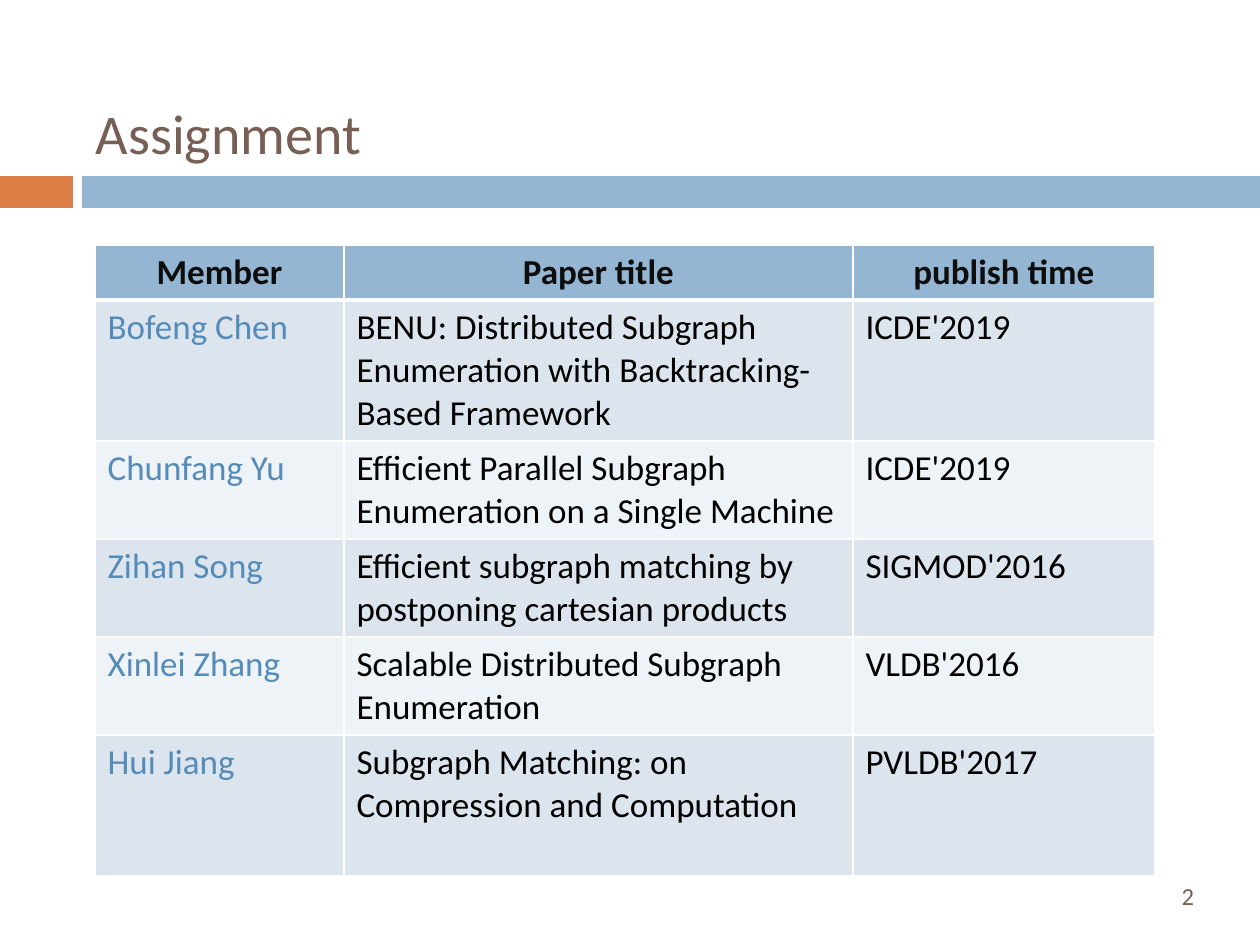
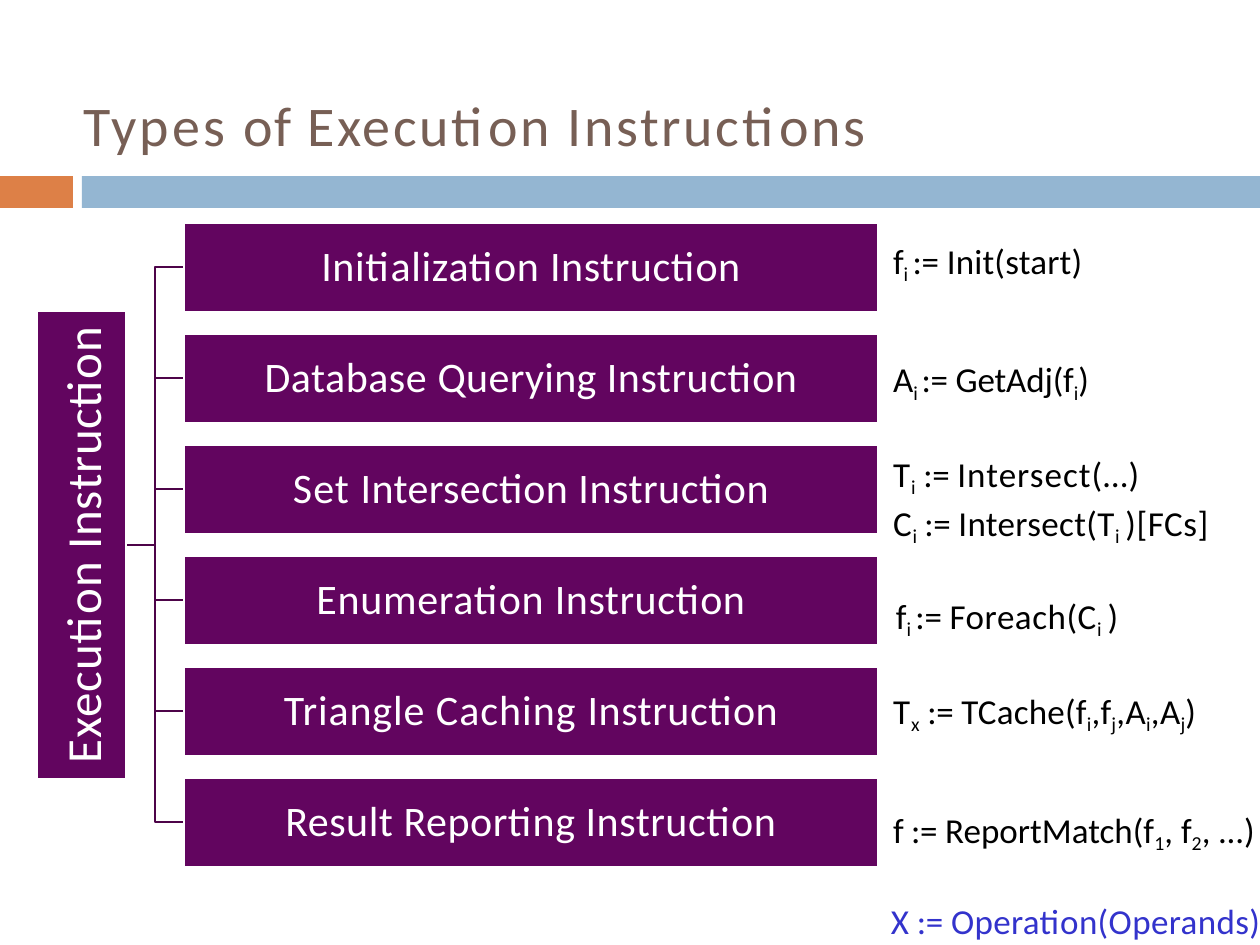
from dataclasses import dataclass

import pptx
import pptx.dml.color
import pptx.enum.shapes
import pptx.enum.text
import pptx.oxml
import pptx.oxml.ns
import pptx.util

# Shared look
PX_PER_INCH = 126
FONT = "Calibri"
ORANGE, BLUE, BROWN = "DD8047", "94B6D2", "775F55"
PURPLE, DARK_PURPLE, OPERATION_BLUE = "62055F", "4D0449", "3333CC"
WHITE, BLACK, HEADER_TEXT, MEMBER_BLUE = "FFFFFF", "000000", "0D0D0D", "558BB8"
ROW_FILLS = ("DCE5EE", "EEF3F7")

ALIGN = pptx.enum.text.PP_ALIGN
ANCHOR = pptx.enum.text.MSO_ANCHOR

# Table content
HEADINGS = ("Member", "Paper title", "publish time")
PAPERS = (
    ("Bofeng Chen", "BENU: Distributed Subgraph Enumeration with Backtracking-Based Framework", "ICDE'2019"),
    ("Chunfang Yu", "Efﬁcient Parallel Subgraph Enumeration on a Single Machine", "ICDE'2019"),
    ("Zihan Song", "Efficient subgraph matching by postponing cartesian products", "SIGMOD'2016"),
    ("Xinlei Zhang", "Scalable Distributed Subgraph Enumeration", "VLDB'2016"),
    ("Hui Jiang", "Subgraph Matching: on Compression and Computation", "PVLDB'2017"),
)
COLUMN_WIDTHS = (249, 509, 302)
ROW_HEIGHTS = (55, 141, 98, 98, 98, 141)


@dataclass
class Line:
    """Runs are (text, letter spacing in points); braces mark a subscript."""
    runs: list
    before: float = 0
    indent: int = 5


# Instruction content
ASSIGN = (":= ", -0.2)
INSTRUCTIONS = (
    [("Initialization ", 0.4), ("Instruction", 0.3)],
    [("Database ", 0.3), ("Querying ", 0.2), ("Instruction", 0.3)],
    [("Set ", 0.6), ("Intersection ", 0.2), ("Instruction", 0.3)],
    [("Enumeration ", 0.4), ("Instruction", 0.3)],
    [("Triangle ", 0.5), ("Caching ", 0.6), ("Instruction", 0.3)],
    [("Result Reporting Instruction", 0.3)],
)
INIT = [Line([("f{i }", 0), ASSIGN, ("Init(start)", 0.1)])]
QUERY_TO_ENUMERATE = [
    Line([("A", -0.2), ("{i }", -0.4), ASSIGN, ("GetAdj(f{i})", -0.1)]),
    Line([("T", 0.6), ("{i }", 0.9), ASSIGN, ("Intersect(…)", 0.6)], before=27.7),
    Line([("C", 0.5), ("{i }", 0.8), ASSIGN, ("Intersect(T", 0.2),
          ("{i }", 0.4), (")[FCs]", 0.3)], before=1.4),
    Line([("f{i }", -0.1), ASSIGN, ("Foreach(C", 0.3), ("{i }", 0.4),
          (")", -0.1)], before=27.1, indent=8),
]
CACHE = [Line([("T", 0.6), ("{x }", 0.9), ASSIGN, ("TCache(f{i},f{j},A{i},A{j})", 0.1)])]
REPORT = [Line([("f ", -0.3), ASSIGN, ("ReportMatch(f{1}, ", 0), ("f", -0.1),
                ("{2}", -0.2), (", ...)", -0.1)])]
OPERATION = [Line([("X ", -0.1), ASSIGN, ("Operation(Operands)", 0.2)], indent=1)]


def px(length):
    return pptx.util.Emu(round(length * 914400 / PX_PER_INCH))


def color(hex_string):
    return pptx.dml.color.RGBColor.from_string(hex_string)


def write_run(paragraph, text, spacing, subscript, size, fill, bold):
    run = paragraph.add_run()
    run.text = text
    run.font.name = FONT
    run.font.size = pptx.util.Pt(size - 0.5 if subscript else size)
    run.font.bold = bold
    run.font.color.rgb = color(fill)
    properties = run._r.get_or_add_rPr()
    if spacing:
        properties.set("spc", str(round(spacing * 100)))
    if subscript:
        properties.set("baseline", "-21000")


def write_text(frame, text, size=20, fill=BLACK, bold=False, align=ALIGN.LEFT):
    """Fill a text frame from a string or a list of lines."""
    lines = [Line([(text, 0)], indent=0)] if isinstance(text, str) else text
    for index, line in enumerate(lines):
        paragraph = frame.add_paragraph() if index else frame.paragraphs[0]
        paragraph.alignment = align
        if line.indent:
            paragraph._p.get_or_add_pPr().set("marL", str(px(line.indent)))
            paragraph._p.get_or_add_pPr().set("indent", "0")
        if index:
            paragraph.space_before = pptx.util.Pt(line.before)
        for words, spacing in line.runs:
            for position, part in enumerate(words.replace("}", "{").split("{")):
                if part:
                    write_run(paragraph, part, spacing, position % 2 == 1, size, fill, bold)


def set_frame(frame, inset=(0, 1, 0, 0), anchor=ANCHOR.TOP):
    frame.word_wrap = True
    frame.vertical_anchor = anchor
    (frame.margin_left, frame.margin_top,
     frame.margin_right, frame.margin_bottom) = map(px, inset)


def add_text(slide, box, text, inset=(0, 1, 0, 0), anchor=ANCHOR.TOP, **text_format):
    frame = slide.shapes.add_textbox(*map(px, box)).text_frame
    set_frame(frame, inset, anchor)
    write_text(frame, text, **text_format)


def add_block(slide, box, fill, outline=None):
    shape = slide.shapes.add_shape(pptx.enum.shapes.MSO_SHAPE.RECTANGLE, *map(px, box))
    shape.shadow.inherit = False
    shape.fill.solid()
    shape.fill.fore_color.rgb = color(fill)
    if outline:
        shape.line.color.rgb = color(outline)
        shape.line.width = pptx.util.Pt(1)
    else:
        shape.line.fill.background()
    return shape


def add_label_block(slide, box, runs, size, inset=(0, 0, 0, 0), vertical=False):
    frame = add_block(slide, box, PURPLE, WHITE).text_frame
    set_frame(frame, inset, ANCHOR.MIDDLE)
    if vertical:
        frame._txBody.bodyPr.set("vert", "vert270")
    write_text(frame, [Line(runs, indent=0)], size=size, fill=WHITE, align=ALIGN.CENTER)


def add_branch(slide, points):
    (left, top), *rest = [(px(x), px(y)) for x, y in points]
    builder = slide.shapes.build_freeform(left, top)
    builder.add_line_segments(rest, close=False)
    branch = builder.convert_to_shape()
    branch.shadow.inherit = False
    branch.fill.background()
    branch.line.color.rgb = color(DARK_PURPLE)
    branch.line.width = pptx.util.Pt(1)


def add_base_slide(presentation, title, title_box, inset):
    """Blank slide with the two-colour band and a title above it."""
    slide = presentation.slides.add_slide(presentation.slide_layouts[6])
    add_block(slide, (0, 176, 73, 32), ORANGE)
    add_block(slide, (82, 176, 1178, 32), BLUE)
    add_text(slide, title_box, title, inset=inset, anchor=ANCHOR.BOTTOM, size=32, fill=BROWN)
    return slide


def set_borders(cell, **widths):
    """White borders; width in points for each side L, R, T and B."""
    properties = cell._tc.get_or_add_tcPr()
    for position, side in enumerate("LRTB"):
        width = pptx.util.Pt(widths.get(side, 1))
        properties.insert(position, pptx.oxml.parse_xml(
            f'<a:ln{side} {pptx.oxml.ns.nsdecls("a")} w="{width}"><a:solidFill>'
            f'<a:srgbClr val="{WHITE}"/></a:solidFill></a:ln{side}>'))


def fill_cell(cell, text, background, borders, **text_format):
    cell.fill.solid()
    cell.fill.fore_color.rgb = color(background)
    set_borders(cell, **borders)
    write_text(cell.text_frame, text, **text_format)


def add_paper_table(slide, left, top):
    table = slide.shapes.add_table(
        len(ROW_HEIGHTS), len(COLUMN_WIDTHS), px(left), px(top),
        px(sum(COLUMN_WIDTHS)), px(sum(ROW_HEIGHTS))).table
    table.horz_banding = False
    for column, width in zip(table.columns, COLUMN_WIDTHS):
        column.width = px(width)
    for row, height in zip(table.rows, ROW_HEIGHTS):
        row.height = px(height)
    for column, heading in enumerate(HEADINGS):
        fill_cell(table.cell(0, column), heading, BLUE, {"B": 3},
                  fill=HEADER_TEXT, bold=True, align=ALIGN.CENTER)
    for row, paper in enumerate(PAPERS, start=1):
        borders = {"T": 3} if row == 1 else {}
        for column, text in enumerate(paper):
            fill_cell(table.cell(row, column), text, ROW_FILLS[(row - 1) % 2], borders,
                      fill=BLACK if column else MEMBER_BLUE)


def build_assignment(presentation):
    slide = add_base_slide(presentation, "Assignment", (84, 32, 1124, 136), (12, 0, 12, 2))
    add_text(slide, (1106, 879, 100, 34), "2", inset=(12, 0, 12, 0),
             anchor=ANCHOR.MIDDLE, size=14, fill=BROWN, align=ALIGN.RIGHT)
    add_paper_table(slide, 95, 245)


def build_instructions(presentation):
    title = [Line([("Types ", 1.7), ("of ", 0.8), ("Execution Instructions", 1.5)], indent=1)]
    slide = add_base_slide(presentation, title, (83, 88, 1023, 70), (0, 0, 0, 0))

    # Tree: root on the left, one block for each instruction type
    block_left, block_top, block_width, block_height, pitch = 184, 223, 694, 89, 111
    root_right, trunk, root_middle = 126, 155, 545
    tops = [block_top + pitch * index for index in range(len(INSTRUCTIONS))]
    for top in tops:
        middle = top + block_height // 2
        add_branch(slide, [(root_right, root_middle), (trunk, root_middle),
                           (trunk, middle), (block_left, middle)])
    add_label_block(slide, (37, 311, 89, 468), [("Execution ", 0.5), ("Instruction", 0.4)],
                    size=28, vertical=True)
    for top, runs in zip(tops, INSTRUCTIONS):
        add_label_block(slide, (block_left, top, block_width, block_height), runs,
                        size=24, inset=(0, 0, 0, 5))

    # Formulas beside the blocks
    for top, height, lines in ((238, 44, INIT), (357, 267, QUERY_TO_ENUMERATE),
                               (688, 44, CACHE), (807, 44, REPORT)):
        add_text(slide, (888, top, 373, height), lines)
    add_text(slide, (890, 898, 374, 44), OPERATION, fill=OPERATION_BLUE)


def main():
    presentation = pptx.Presentation()
    presentation.slide_width, presentation.slide_height = px(1260), px(945)
    build_assignment(presentation)
    build_instructions(presentation)
    presentation.save("out.pptx")


if __name__ == "__main__":
    main()
